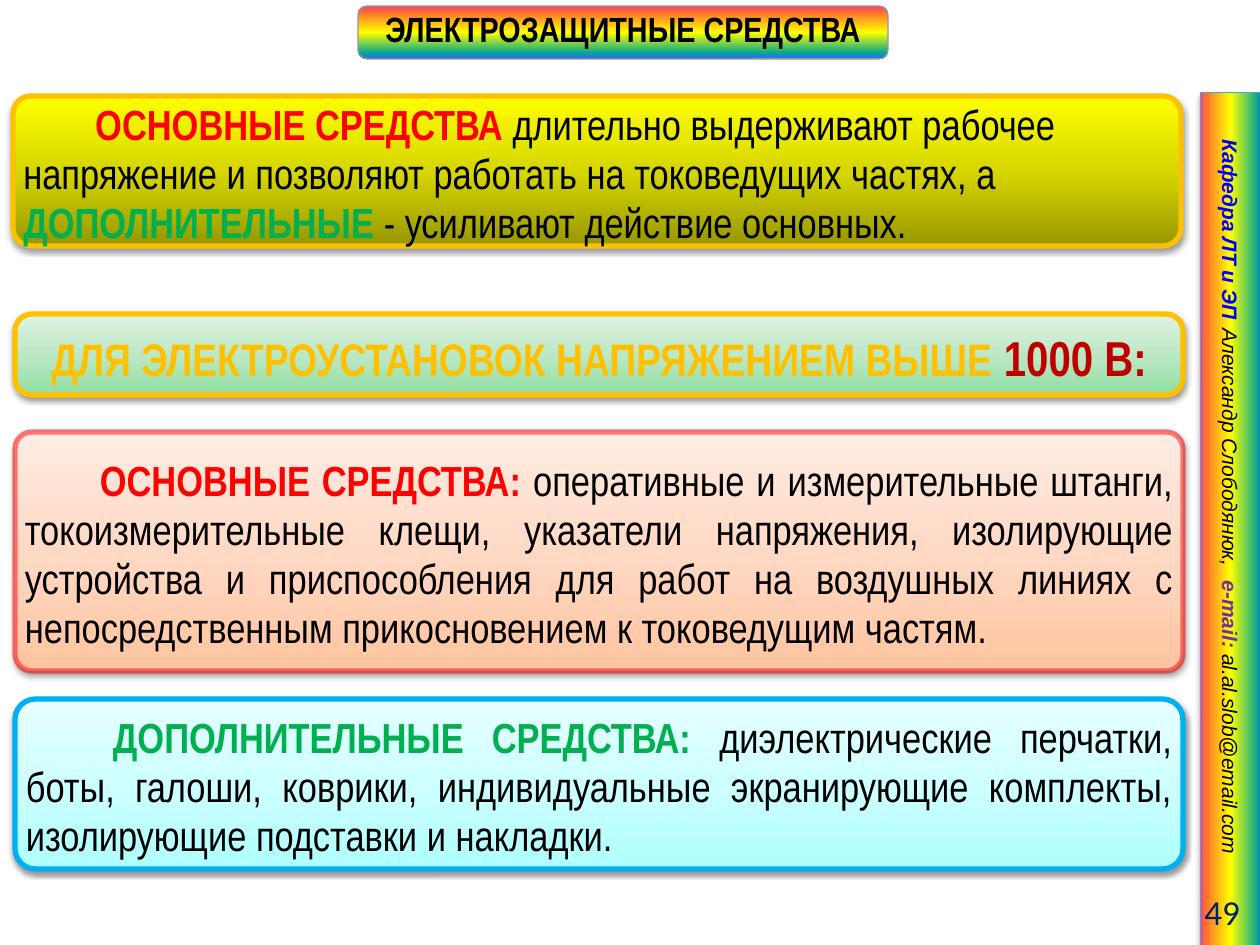
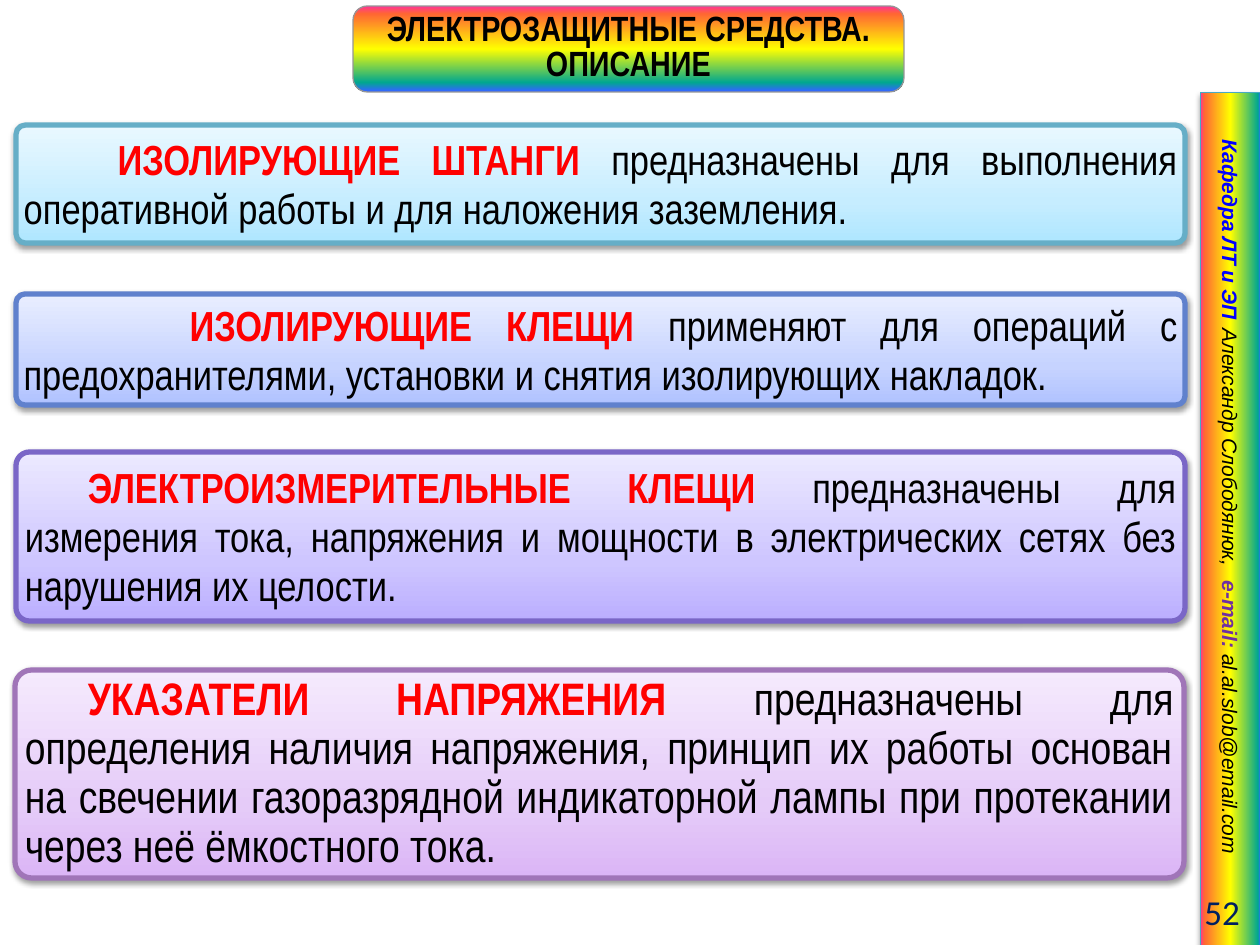
import pptx
import pptx.dml.color
import pptx.enum.shapes
import pptx.enum.text
import pptx.oxml
import pptx.oxml.ns
import pptx.util

COLORS = {
    "black": "000000", "red": "FF0000", "green": "00B050", "amber": "FFC000",
    "dark_red": "C00000", "blue": "0000FF", "purple": "7030A0", "navy": "002060",
    "title_line": "969696", "bar_line": "46AAC5", "sky_line": "00B0F0",
    "teal_line": "66AEC7", "blue_line": "6081CD", "violet_line": "7A66C7",
    "plum_line": "A075B8",
}
RAINBOW = ["FF3399", "FF6633", "FFFF00", "01A78F", "3366FF"]
GRADIENTS = {
    "bar": list(zip([0, 6, 50, 96, 100], RAINBOW)),
    "title": list(zip([0, 9, 50, 89, 99], RAINBOW)),
    "yellow": [(0, "979700"), (50, "D7D700"), (100, "FFFF00")],
    "mint": [(0, "91DEA0"), (50, "BDE8C5"), (100, "DFF3E3")],
    "peach": [(0, "FFC4A0"), (50, "FFD9C5"), (100, "FFECE3")],
    "cyan": [(0, "AFFFFF"), (50, "CEFFFF"), (100, "E7FFFF")],
    "sky": [(0, "AEE6FF"), (35, "C6EDFF"), (100, "E9F8FF")],
    "blue": [(0, "B0C2FF"), (35, "C6D3FF"), (100, "E9EEFF")],
    "violet": [(0, "BBAEFF"), (35, "CEC6FF"), (100, "ECE9FF")],
    "plum": [(0, "DBB5F6"), (35, "E5CBF8"), (100, "F5EAFD")],
}
NAMESPACE = pptx.oxml.ns.nsdecls("a")
ALIGN = pptx.enum.text.PP_ALIGN
SHAPE = pptx.enum.shapes.MSO_SHAPE
PX = 914400 / 126
THIN = (0.07, 55)
SOLID_THIN = (0.07, 100)
WIDE = (1, 100)


def add_text(shape, runs, size=24, font="Arial Narrow", italic=False, align=ALIGN.JUSTIFY,
             indent=0, line_points=None, insets=(5, 5, 5, 5), tabs=()):
    frame = shape.text_frame
    frame.word_wrap = True
    frame.vertical_anchor = pptx.enum.text.MSO_ANCHOR.MIDDLE
    frame.margin_left, frame.margin_top, frame.margin_right, frame.margin_bottom = [
        round(inset * PX) for inset in insets]
    paragraph = frame.paragraphs[0]
    paragraph.alignment = align
    if line_points:
        paragraph.line_spacing = pptx.util.Pt(line_points)
    properties = paragraph._p.get_or_add_pPr()
    properties.set("marL", "0")
    properties.set("indent", str(round(indent * PX)))
    if tabs:
        stops = "".join(f'<a:tab pos="{round(tab * PX)}" algn="l"/>' for tab in tabs)
        properties.append(pptx.oxml.parse_xml(f"<a:tabLst {NAMESPACE}>{stops}</a:tabLst>"))
    for text, color, bold, outline, *own_size in runs:
        run = paragraph.add_run()
        run.text = text
        run.font.name = font
        run.font.size = pptx.util.Pt(own_size[0] if own_size else size)
        run.font.bold = bold
        run.font.italic = italic
        run.font.color.rgb = pptx.dml.color.RGBColor.from_string(COLORS[color])
        if outline:
            width, alpha = outline
            run._r.get_or_add_rPr().insert(0, pptx.oxml.parse_xml(
                f'<a:ln {NAMESPACE} w="{round(width * 12700)}"><a:solidFill>'
                f'<a:srgbClr val="{COLORS["black"]}"><a:alpha val="{alpha * 1000}"/></a:srgbClr>'
                '</a:solidFill></a:ln>'))


def add_box(slide, kind, place, gradient, line, width=3, angle=90, corner=None,
            shadow=True, line_alpha=100):
    shape = slide.shapes.add_shape(kind, *[round(value * PX) for value in place])
    if corner is not None:
        shape.adjustments[0] = corner
    shape.fill.gradient()
    shape.fill.gradient_angle = angle
    properties = shape._element.spPr
    stops = properties.find(".//" + pptx.oxml.ns.qn("a:gsLst"))
    for stop in list(stops):
        stops.remove(stop)
    for position, color in GRADIENTS[gradient]:
        stops.append(pptx.oxml.parse_xml(
            f'<a:gs {NAMESPACE} pos="{position * 1000}"><a:srgbClr val="{color}"/></a:gs>'))
    shape.line.color.rgb = pptx.dml.color.RGBColor.from_string(COLORS[line])
    shape.line.width = pptx.util.Pt(width)
    if line_alpha < 100:
        line_color = properties.find(
            pptx.oxml.ns.qn("a:ln") + "/" + pptx.oxml.ns.qn("a:solidFill"))[0]
        line_color.append(pptx.oxml.parse_xml(
            f'<a:alpha {NAMESPACE} val="{line_alpha * 1000}"/>'))
    shape.shadow.inherit = False
    if shadow:
        properties.find(pptx.oxml.ns.qn("a:effectLst")).append(pptx.oxml.parse_xml(
            f'<a:outerShdw {NAMESPACE} blurRad="40000" dist="20000" dir="5400000" '
            f'rotWithShape="0"><a:srgbClr val="{COLORS["black"]}"><a:alpha val="38000"/>'
            '</a:srgbClr></a:outerShdw>'))
    return shape


BODY = {"line_points": 28}
FLUSH = {"insets": (5, 5, 5, 0)}
SLIDES = [
    {"number": "49", "title": "ЭЛЕКТРОЗАЩИТНЫЕ СРЕДСТВА", "title_place": (358, 6, 530, 53),
     "boxes": [
         ((13, 96, 1168, 150), {"gradient": "yellow", "line": "amber", "corner": 0.12},
          [("ОСНОВНЫЕ СРЕДСТВА ", "red", True, THIN),
           ("длительно выдерживают рабочее напряжение и позволяют работать на "
            "токоведущих частях, а ", "black", False, None),
           ("ДОПОЛНИТЕЛЬНЫЕ ", "green", True, WIDE),
           ("- усиливают действие основных.", "black", False, None)],
          {**BODY, **FLUSH, "indent": 72, "align": ALIGN.LEFT}),
         ((15, 314, 1168, 81), {"gradient": "mint", "line": "amber", "corner": 0.21},
          [("ДЛЯ ЭЛЕКТРОУСТАНОВОК НАПРЯЖЕНИЕМ ВЫШЕ ", "amber", True, SOLID_THIN, 26),
           ("1000 В:", "dark_red", True, THIN, 28)],
          {**FLUSH, "align": ALIGN.CENTER}),
         ((15, 432, 1168, 239),
          {"gradient": "peach", "line": "red", "corner": 0.07, "line_alpha": 50},
          [("ОСНОВНЫЕ СРЕДСТВА: ", "red", True, THIN),
           ("оперативные и измерительные штанги, токоизмерительные клещи, указатели "
            "напряжения, изолирующие устройства и приспособления для работ на воздушных "
            "линиях с непосредственным прикосновением к токоведущим частям.",
            "black", False, None)],
          {**BODY, **FLUSH, "indent": 75}),
         ((15, 699, 1168, 170), {"gradient": "cyan", "line": "sky_line", "corner": 0.12},
          [("ДОПОЛНИТЕЛЬНЫЕ СРЕДСТВА: ", "green", True, WIDE),
           ("диэлектрические перчатки, боты, галоши, коврики, индивидуальные экранирующие "
            "комплекты, изолирующие подставки и накладки.", "black", False, None)],
          {**BODY, **FLUSH, "indent": 87}),
     ]},
    {"number": "52", "title": "ЭЛЕКТРОЗАЩИТНЫЕ СРЕДСТВА. ОПИСАНИЕ",
     "title_place": (353, 6, 551, 86),
     "boxes": [
         ((16, 125, 1169, 118), {"gradient": "sky", "line": "teal_line", "corner": 0.08},
          [("ИЗОЛИРУЮЩИЕ ШТАНГИ ", "red", True, THIN),
           ("предназначены для выполнения оперативной работы и для наложения заземления.",
            "black", False, None)],
          {**BODY, "indent": 94}),
         ((16, 294, 1169, 111), {"gradient": "blue", "line": "blue_line", "corner": 0.08},
          [("ИЗОЛИРУЮЩИЕ КЛЕЩИ ", "red", True, THIN),
           ("применяют для операций с предохранителями, установки и снятия изолирующих "
            "накладок.", "black", False, None)],
          {**BODY, "indent": 166}),
         ((16, 452, 1169, 169), {"gradient": "violet", "line": "violet_line", "corner": 0.08},
          [("ЭЛЕКТРОИЗМЕРИТЕЛЬНЫЕ КЛЕЩИ ", "red", True, THIN),
           ("предназначены для измерения тока, напряжения и мощности в электрических сетях "
            "без нарушения их целости.", "black", False, None)],
          {**BODY, "indent": 63}),
         ((15, 670, 1169, 208), {"gradient": "plum", "line": "plum_line", "corner": 0.08},
          [("УКАЗАТЕЛИ НАПРЯЖЕНИЯ ", "red", True, THIN),
           ("предназначены для определения наличия напряжения, принцип их работы основан "
            "на свечении газоразрядной индикаторной лампы при протекании через неё "
            "ёмкостного тока.", "black", False, None)],
          {**BODY, "indent": 63, "size": 26}),
     ]},
]

presentation = pptx.Presentation()
presentation.slide_width = round(1260 * PX)
presentation.slide_height = round(945 * PX)

for content in SLIDES:
    slide = presentation.slides.add_slide(presentation.slide_layouts[6])

    side_bar = add_box(slide, SHAPE.RECTANGLE, (804, 489, 853, 60), "bar", "bar_line", 0.75)
    side_bar.rotation = 90
    add_text(side_bar, [("Кафедра ЛТ и ЭП\t", "blue", True, None),
                        ("Александр Слободянюк,\t", "black", False, None),
                        ("e-mail: ", "purple", True, None),
                        ("al.al.slob@email.com", "black", False, None)],
             size=12, font="Arial", italic=True, align=ALIGN.LEFT,
             insets=(47, 6, 0, 6), tabs=(233, 483))

    number_box = slide.shapes.add_textbox(*[round(value * PX) for value in (1116, 886, 137, 50)])
    add_text(number_box, [(content["number"], "navy", False, None)], size=20, font="Calibri",
             align=ALIGN.RIGHT, insets=(13, 6, 13, 6))

    title = add_box(slide, SHAPE.ROUNDED_RECTANGLE, content["title_place"], "title",
                    "title_line", 0.75, angle=270, shadow=False)
    add_text(title, [(content["title"], "black", True, None)], size=20,
             align=ALIGN.CENTER, line_points=20)

    for place, look, runs, text_format in content["boxes"]:
        box = add_box(slide, SHAPE.ROUNDED_RECTANGLE, place, **look)
        add_text(box, runs, **text_format)

presentation.save("out.pptx")
